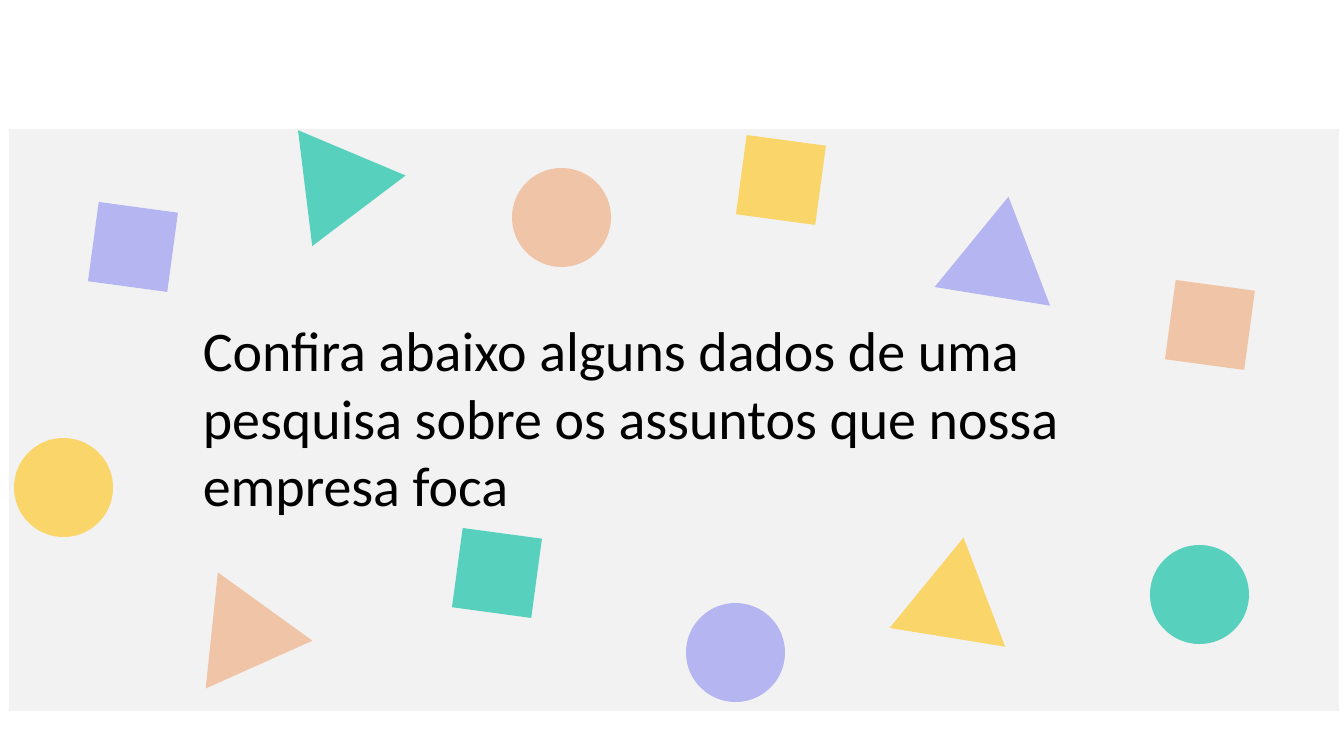
import pptx
import pptx.dml.color
import pptx.enum.shapes
import pptx.enum.text
import pptx.oxml.ns
import pptx.util
from lxml import etree

EMU_PER_PX = 914400 / 100.8
SHAPES = pptx.enum.shapes.MSO_SHAPE

# Colour and opacity in percent
YELLOW = ("FFC000", 56)
TEAL = ("16C4A7", 70)
LILAC = ("8787F1", 56)
ORANGE = ("ED7D31", 39)

TRIANGLE_SIZE = (117, 101)
SQUARE_SIZE = (80, 80)
CIRCLE_SIZE = (99, 99)

# Left, top, rotation, paint
TRIANGLES = [
    (897, 537, 9.2, YELLOW),
    (270, 120, 322.9, TEAL),
    (942, 196, 9.2, LILAC),
    (180, 568, 335.9, ORANGE),
]
# Left, top, paint
SQUARES = [
    (457, 533, TEAL),
    (93, 207, LILAC),
    (741, 140, YELLOW),
    (1170, 285, ORANGE),
]
CIRCLES = [
    (1150, 545, TEAL),
    (14, 438, YELLOW),
    (686, 603, LILAC),
    (512, 168, ORANGE),
]
SQUARE_TILT = 7.7

MESSAGE = ("Confira abaixo alguns dados de uma pesquisa sobre "
           "os assuntos que nossa empresa foca")


def px(length):
    return pptx.util.Emu(round(length * EMU_PER_PX))


def rgb(code):
    return pptx.dml.color.RGBColor.from_string(code)


def add_figure(slide, kind, left, top, size, paint, tilt=0):
    """Add a borderless shape with a colour and an opacity."""
    colour, opacity = paint
    figure = slide.shapes.add_shape(kind, px(left), px(top), *map(px, size))
    figure.rotation = tilt
    figure.shadow.inherit = False
    figure.line.fill.background()
    figure.fill.solid()
    figure.fill.fore_color.rgb = rgb(colour)
    if opacity < 100:
        tag = pptx.oxml.ns.qn("a:srgbClr")
        colour_element = next(figure.fill._xPr.iter(tag))
        alpha = etree.SubElement(colour_element, pptx.oxml.ns.qn("a:alpha"))
        alpha.set("val", str(opacity * 1000))


def add_message(slide, left, top, width, height):
    message = slide.shapes.add_textbox(px(left), px(top), px(width), px(height))
    frame = message.text_frame
    frame.word_wrap = True
    frame.auto_size = pptx.enum.text.MSO_AUTO_SIZE.SHAPE_TO_FIT_TEXT
    frame.text = MESSAGE
    font = frame.paragraphs[0].runs[0].font
    font.name = "Calibri"
    font.size = pptx.util.Pt(40)
    font.color.rgb = rgb("000000")


def main():
    deck = pptx.Presentation()
    deck.slide_width, deck.slide_height = px(1344), px(756)
    slide = deck.slides.add_slide(deck.slide_layouts[6])

    # Grey panel and its message
    add_figure(slide, SHAPES.RECTANGLE, 9, 129, (1330, 582), ("F2F2F2", 100))
    add_message(slide, 193, 311, 958, 214)

    # Scattered confetti
    for left, top, tilt, paint in TRIANGLES:
        add_figure(slide, SHAPES.ISOSCELES_TRIANGLE, left, top,
                   TRIANGLE_SIZE, paint, tilt)
    for left, top, paint in SQUARES:
        add_figure(slide, SHAPES.RECTANGLE, left, top,
                   SQUARE_SIZE, paint, SQUARE_TILT)
    for left, top, paint in CIRCLES:
        add_figure(slide, SHAPES.OVAL, left, top, CIRCLE_SIZE, paint)

    deck.save("out.pptx")


if __name__ == "__main__":
    main()
